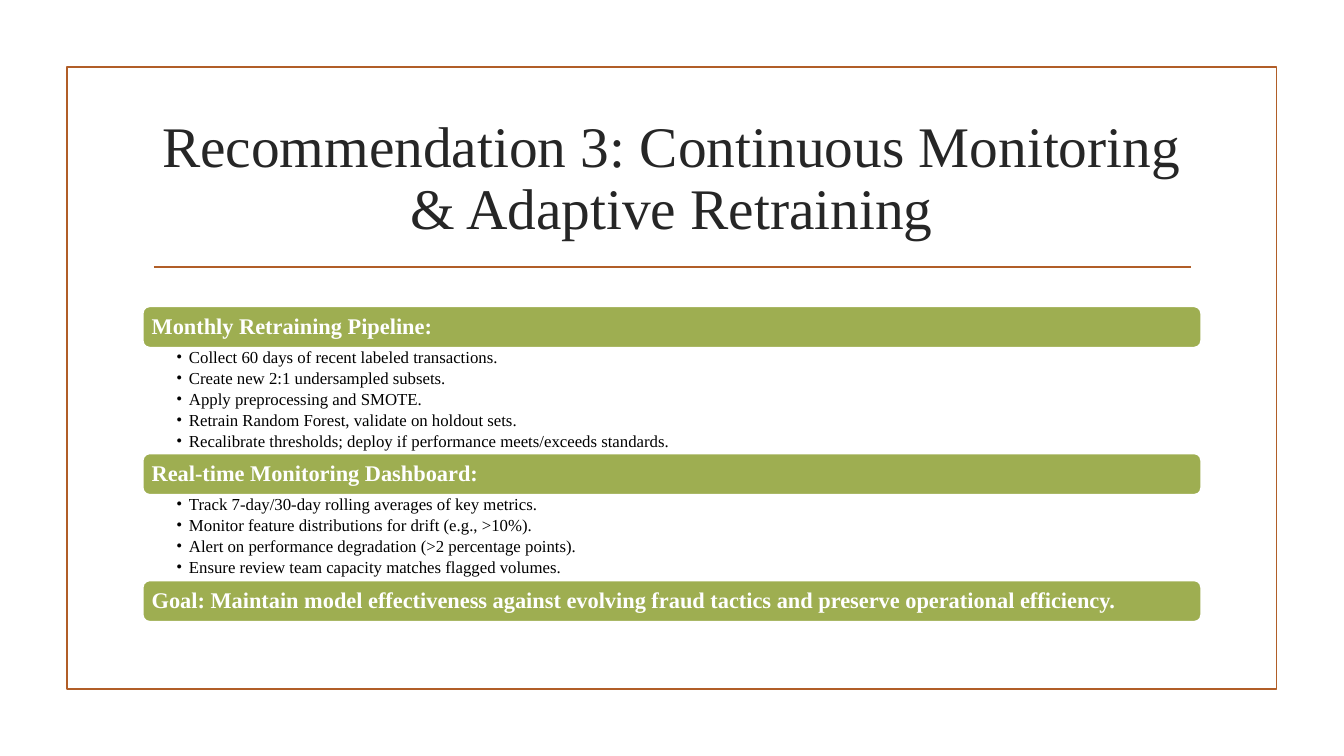
import pptx
import pptx.dml.color
import pptx.enum.shapes
import pptx.enum.text
import pptx.util
from dataclasses import dataclass
from lxml import etree

Pt = pptx.util.Pt
Color = pptx.dml.color.RGBColor.from_string
Shape = pptx.enum.shapes.MSO_SHAPE
Anchor = pptx.enum.text.MSO_ANCHOR
Align = pptx.enum.text.PP_ALIGN


@dataclass(frozen=True)
class Theme:
    font: str = "Times New Roman"
    accent: str = "B15E28"
    band: str = "9EAE51"
    white: str = "FFFFFF"
    title: str = "262626"
    body: str = "000000"
    title_size: int = 41
    band_size: int = 16
    body_size: int = 12
    line_width: float = 1.25


theme = Theme()


def style(para, size, color, bold=False, align=Align.LEFT):
    para.font.name = theme.font
    para.font.size = Pt(size)
    para.font.bold = bold
    para.font.color.rgb = Color(color)
    para.alignment = align
    para.line_spacing = 0.9


def set_frame(frame, left, top, right, bottom, anchor):
    frame.word_wrap = True
    frame.margin_left, frame.margin_top = Pt(left), Pt(top)
    frame.margin_right, frame.margin_bottom = Pt(right), Pt(bottom)
    frame.vertical_anchor = anchor


deck = pptx.Presentation()
deck.slide_width, deck.slide_height = Pt(960), Pt(540)
page = deck.slides.add_slide(deck.slide_layouts[5])

# Border frame
border = page.shapes.add_shape(Shape.RECTANGLE, Pt(47.8), Pt(48), Pt(864), Pt(444.4))
border.shadow.inherit = False
border.fill.background()
border.line.color.rgb = Color(theme.accent)
border.line.width = Pt(theme.line_width)

# Title and the rule below it
title = page.shapes.title
title.left, title.top, title.width, title.height = Pt(102), Pt(77), Pt(756), Pt(103)
set_frame(title.text_frame, 7.2, 3.6, 7.2, 3.6, Anchor.MIDDLE)
title.text_frame.text = "Recommendation 3: Continuous Monitoring & Adaptive Retraining"
style(title.text_frame.paragraphs[0], theme.title_size, theme.title, align=Align.CENTER)

rule = page.shapes.add_connector(
    pptx.enum.shapes.MSO_CONNECTOR.STRAIGHT, Pt(110), Pt(190.8), Pt(850.5), Pt(190.8))
rule.line.color.rgb = Color(theme.accent)
rule.line.width = Pt(theme.line_width)
etree.SubElement(rule.element.spPr, pptx.oxml.ns.qn("a:effectLst"))

# Green bands, each followed by its bullets
sections = [
    ("Monthly Retraining Pipeline:", 75.6, [
        "Collect 60 days of recent labeled transactions.",
        "Create new 2:1 undersampled subsets.",
        "Apply preprocessing and SMOTE.",
        "Retrain Random Forest, validate on holdout sets.",
        "Recalibrate thresholds; deploy if performance meets/exceeds standards.",
    ]),
    ("Real-time Monitoring Dashboard:", 61.2, [
        "Track 7-day/30-day rolling averages of key metrics.",
        "Monitor feature distributions for drift (e.g., >10%).",
        "Alert on performance degradation (>2 percentage points).",
        "Ensure review team capacity matches flagged volumes.",
    ]),
    ("Goal: Maintain model effectiveness against evolving fraud tactics "
     "and preserve operational efficiency.", 0, []),
]
left, width, band_height = 102, 756, 29.5
top = 218.8

for heading, list_height, bullets in sections:
    band = page.shapes.add_shape(
        Shape.ROUNDED_RECTANGLE, Pt(left), Pt(top), Pt(width), Pt(band_height))
    band.shadow.inherit = False
    band.fill.solid()
    band.fill.fore_color.rgb = Color(theme.band)
    band.line.color.rgb = Color(theme.white)
    band.line.width = Pt(theme.line_width)
    set_frame(band.text_frame, 5, 0, 5, 0, Anchor.MIDDLE)
    band.text_frame.text = heading
    style(band.text_frame.paragraphs[0], theme.band_size, theme.white, bold=True)
    top += band_height

    if bullets:
        box = page.shapes.add_textbox(Pt(left), Pt(top), Pt(width), Pt(list_height))
        set_frame(box.text_frame, 24, 0.8, 9, 0, Anchor.TOP)
        box.text_frame.text = "\n".join(bullets)
        for para in box.text_frame.paragraphs:
            style(para, theme.body_size, theme.body)
            para.level = 1
            para.space_after = Pt(2)
            properties = para._p.get_or_add_pPr()
            properties.set("marL", str(Pt(9)))
            properties.set("indent", str(-Pt(9)))
            for tag, attributes in (("a:buFont", {"typeface": theme.font}),
                                    ("a:buChar", {"char": "•"})):
                bullet = etree.Element(pptx.oxml.ns.qn(tag), attributes)
                properties.insert_element_before(bullet, "a:tabLst", "a:defRPr", "a:extLst")
        top += list_height

deck.save("out.pptx")
